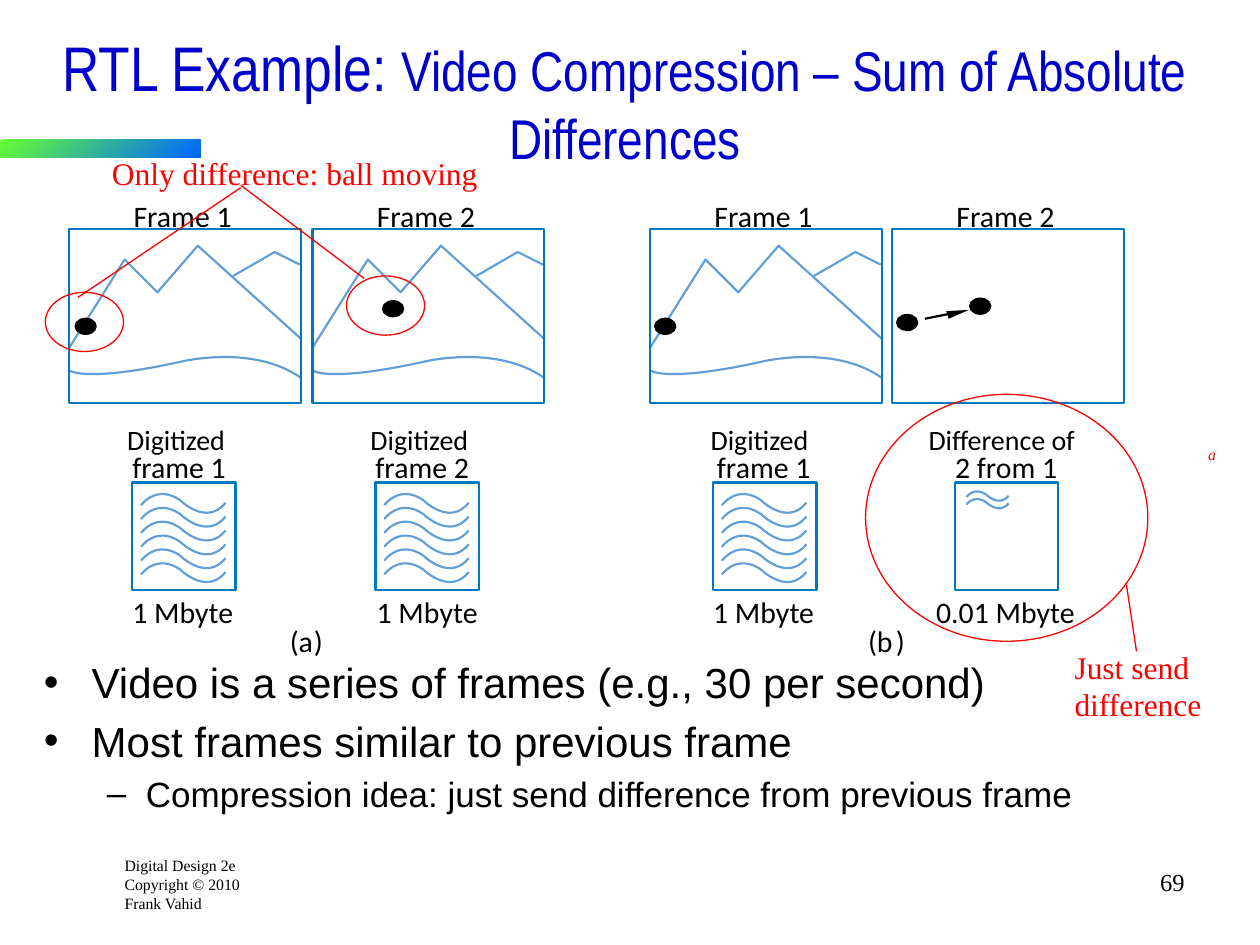
from dataclasses import dataclass

from lxml.etree import SubElement
from pptx import Presentation
from pptx.dml.color import RGBColor
from pptx.enum.shapes import MSO_CONNECTOR, MSO_SHAPE
from pptx.enum.text import MSO_ANCHOR, PP_ALIGN
from pptx.oxml.ns import qn
from pptx.util import Inches, Pt


@dataclass(frozen=True)
class Theme:
    # Colours
    title: str = "0000CC"
    text: str = "000000"
    note: str = "FF0000"
    border: str = "0078C1"
    drawing: str = "629FD6"
    bar: tuple = ("66FF33", "0066FF")
    # Fonts
    heading_font: str = "Arial Narrow"
    body_font: str = "Arial"
    label_font: str = "Calibri"
    note_font: str = "Times New Roman"
    # Sizes in points
    title_size: int = 36
    subtitle_size: int = 32
    body_sizes: tuple = (24, 20)
    note_size: int = 18
    label_size: int = 17
    caption_size: int = 16
    number_size: int = 14
    small_size: int = 9
    thick: float = 1.25
    thin: float = 0.75


def rgb(value):
    return RGBColor.from_string(value)


class Slide:
    def __init__(self, prs, theme):
        self.th = theme
        self.s = prs.slides.add_slide(prs.slide_layouts[6])

    def run(self, p, text, size, font, color, italic=None):
        r = p.add_run()
        r.text = text
        r.font.size, r.font.name, r.font.italic = Pt(size), font, italic
        r.font.color.rgb = rgb(color)

    def box(self, x, y, w, h, inset=True):
        tf = self.s.shapes.add_textbox(
            Inches(x), Inches(y), Inches(w), Inches(h)).text_frame
        tf.word_wrap = True
        if not inset:
            tf.margin_left = tf.margin_right = tf.margin_top = tf.margin_bottom = 0
        return tf

    def label(self, text, x, y, w, size=None):
        tf = self.box(x, y, w, 0.28, inset=False)
        self.run(tf.paragraphs[0], text, size or self.th.label_size,
                 self.th.label_font, self.th.text)

    def note(self, lines, x, y, w, h, size, color, align=None, italic=None):
        tf = self.box(x, y, w, h)
        for i, line in enumerate(lines):
            p = tf.add_paragraph() if i else tf.paragraphs[0]
            p.alignment = align
            self.run(p, line, size, self.th.note_font, color, italic)

    def bullets(self, items, x, y, w, h):
        tf = self.box(x, y, w, h)
        styles = (("•", 0.38, -0.38), ("–", 0.81, -0.31))
        for i, (level, text) in enumerate(items):
            p = tf.add_paragraph() if i else tf.paragraphs[0]
            char, left, hang = styles[level]
            size = self.th.body_sizes[level]
            pPr = p._p.get_or_add_pPr()
            pPr.set("marL", str(Inches(left)))
            pPr.set("indent", str(Inches(hang)))
            SubElement(pPr, qn("a:buFont")).set("typeface", self.th.body_font)
            SubElement(pPr, qn("a:buChar")).set("char", char)
            p.level = level
            p.space_before = Pt(0.2 * size if i else 0)
            self.run(p, text, size, self.th.body_font, self.th.text)

    def paint(self, sp, fill, line, width):
        sp.shadow.inherit = False
        if fill:
            sp.fill.solid()
            sp.fill.fore_color.rgb = rgb(fill)
        else:
            sp.fill.background()
        if line:
            sp.line.color.rgb = rgb(line)
            sp.line.width = Pt(width)
        else:
            sp.line.fill.background()

    def shape(self, kind, x, y, w, h, fill=None, line=None, width=Theme.thick):
        sp = self.s.shapes.add_shape(kind, Inches(x), Inches(y), Inches(w), Inches(h))
        self.paint(sp, fill, line, width)
        return sp

    def outline(self, points, fill=None, line=None):
        (x, y), *rest = [(Inches(a), Inches(b)) for a, b in points]
        fb = self.s.shapes.build_freeform(x, y)
        fb.add_line_segments(rest, close=bool(fill))
        sp = fb.convert_to_shape()
        self.paint(sp, fill, line, self.th.thick)
        return sp

    def curve(self, points, line):
        """Smooth outline: a start, then two controls and an end per segment."""
        sp = self.outline(points, line=line)
        steps = list(sp._element.iter(qn("a:lnTo")))
        for i in range(0, len(steps), 3):
            bezier = SubElement(steps[i].getparent(), qn("a:cubicBezTo"))
            for step in steps[i:i + 3]:
                bezier.append(step[0])
                step.getparent().remove(step)

    def line(self, x1, y1, x2, y2, color, width):
        c = self.s.shapes.add_connector(
            MSO_CONNECTOR.STRAIGHT, Inches(x1), Inches(y1), Inches(x2), Inches(y2))
        c.line.color.rgb = rgb(color)
        c.line.width = Pt(width)
        SubElement(c._element.spPr, qn("a:effectLst"))

    def frame(self, x):
        self.shape(MSO_SHAPE.RECTANGLE, x, 1.82, 1.84, 1.38, line=self.th.border)

    def ball(self, x, y):
        self.shape(MSO_SHAPE.OVAL, x, y, 0.16, 0.12, self.th.text, self.th.text)

    def ring(self, x, y, w, h):
        self.shape(MSO_SHAPE.OVAL, x, y, w, h, line=self.th.note, width=self.th.thin)

    def scenery(self, x):
        peaks = [(0, 2.76), (0.44, 2.06), (0.7, 2.32), (1.02, 1.95), (1.84, 2.69)]
        ridge = [(1.3, 2.19), (1.63, 2), (1.83, 2.1)]
        a, b, c = (0, 2.94), (0.89, 2.87), (1.84, 3)
        shore = [a, a, (0.12, 3.04), b, b, (1.46, 2.73), c]
        for draw, points in ((self.outline, peaks), (self.outline, ridge), (self.curve, shore)):
            draw([(x + dx, y) for dx, y in points], line=self.th.drawing)

    def wave(self, x, y, scale=1):
        a, b, c = (0, 0.17), (0.31, 0.13), (0.67, 0.15)
        points = [a, a, (0.12, 0), b, b, (0.52, 0.34), c]
        self.curve([(x + scale * dx, y + scale * dy) for dx, dy in points],
                   line=self.th.drawing)


def main():
    th = Theme()
    prs = Presentation()
    prs.slide_width, prs.slide_height = Inches(10), Inches(7.5)
    s = Slide(prs, th)

    # Footer, accent bar and slide number
    s.note(["Digital Design 2e", "Copyright © 2010", "Frank Vahid"],
           0.89, 6.74, 1.12, 0.55, th.small_size, th.text)
    bar = s.shape(MSO_SHAPE.RECTANGLE, 0, 1.11, 1.59, 0.14)
    bar.fill.gradient()
    bar.fill.gradient_angle = 315
    for stop, color in zip(bar.fill.gradient_stops, th.bar):
        stop.color.rgb = rgb(color)
    s.note(["69"], 7.42, 6.83, 2.08, 0.5, th.number_size, th.text, PP_ALIGN.RIGHT)

    # Title
    tf = s.box(0.25, 0.33, 9.42, 0.92)
    tf.vertical_anchor = MSO_ANCHOR.MIDDLE
    p = tf.paragraphs[0]
    p.alignment = PP_ALIGN.CENTER
    s.run(p, "RTL Example: ", th.title_size, th.heading_font, th.title)
    s.run(p, "Video Compression – Sum of Absolute Differences",
          th.subtitle_size, th.heading_font, th.title)

    # Body
    s.bullets([(0, "Video is a series of frames (e.g., 30 per second)"),
               (0, "Most frames similar to previous frame"),
               (1, "Compression idea: just send difference from previous frame")],
              0.25, 5.16, 9.3, 1.51)

    # Panels: left edge, frame label, two caption lines, size, label offsets, balls
    panels = [
        (0.55, "Frame 1", "Digitized", "frame 1", "1 Mbyte", (0.46, 0.5, 0.5), [(0.6, 2.53)]),
        (2.48, "Frame 2", "Digitized", "frame 2", "1 Mbyte", (0.46, 0.5, 0.51), [(3.04, 2.39)]),
        (5.16, "Frame 1", "Digitized", "frame 1", "1 Mbyte", (0.48, 0.53, 0.5), [(5.2, 2.53)]),
        (7.08, "Frame 2", "Difference of", "2 from 1", "0.01 Mbyte", (0.29, 0.5, 0.35),
         [(7.7, 2.37), (7.12, 2.5)]),
    ]
    for x, name, top, bottom, size, (dx1, dx2, dx3), balls in panels:
        full = len(balls) == 1
        s.label(name, x + 0.51, 1.57, 0.88)
        s.label(top, x + dx1, 3.35, 0.85 if full else 1.26, th.caption_size)
        s.label(bottom, x + dx2, 3.56, 0.8 if full else 0.87)
        s.label(size, x + dx3, 4.71, 0.84 if full else 1.17)
        if full:
            s.scenery(x)
            for i in range(6):
                s.wave(x + 0.57, 3.84 + 0.11 * i)
        else:
            for y in (3.86, 3.92):
                s.wave(x + 0.59, y, 0.5)
        for ball in balls:
            s.ball(*ball)
        s.frame(x)
        s.shape(MSO_SHAPE.RECTANGLE, x + 0.5, 3.83, 0.82, 0.85, line=th.border)

    # Part letters
    for letter, x, close_x in (("a", 2.3, 2.49), ("b", 6.89, 7.11)):
        s.label("(", x, 4.94, 0.08)
        s.label(letter, x + 0.07, 4.94, 0.13)
        s.label(")", close_x, 4.94, 0.08)

    # Motion arrow
    s.line(7.34, 2.53, 7.54, 2.49, th.text, th.thick)
    s.outline([(7.69, 2.46), (7.51, 2.47), (7.53, 2.53)], fill=th.text)

    # Red annotations
    s.ring(0.36, 2.32, 0.62, 0.47)
    s.ring(2.75, 2.19, 0.62, 0.47)
    s.ring(6.87, 3.13, 2.24, 1.96)
    for ends in ((0.62, 2.36, 1.91, 1.49), (2.89, 2.21, 1.91, 1.47),
                 (8.94, 4.64, 9.02, 5.17)):
        s.line(*ends, th.note, th.thin)
    s.note(["Only difference: ball moving"], 0.79, 1.17, 3.11, 0.4, th.note_size, th.note)
    s.note(["Just send difference"], 8.43, 5.09, 1.26, 0.7, th.note_size, th.note)
    s.note(["a"], 9.49, 3.48, 0.26, 0.25, th.small_size, th.note, italic=True)

    prs.save("out.pptx")


if __name__ == "__main__":
    main()
